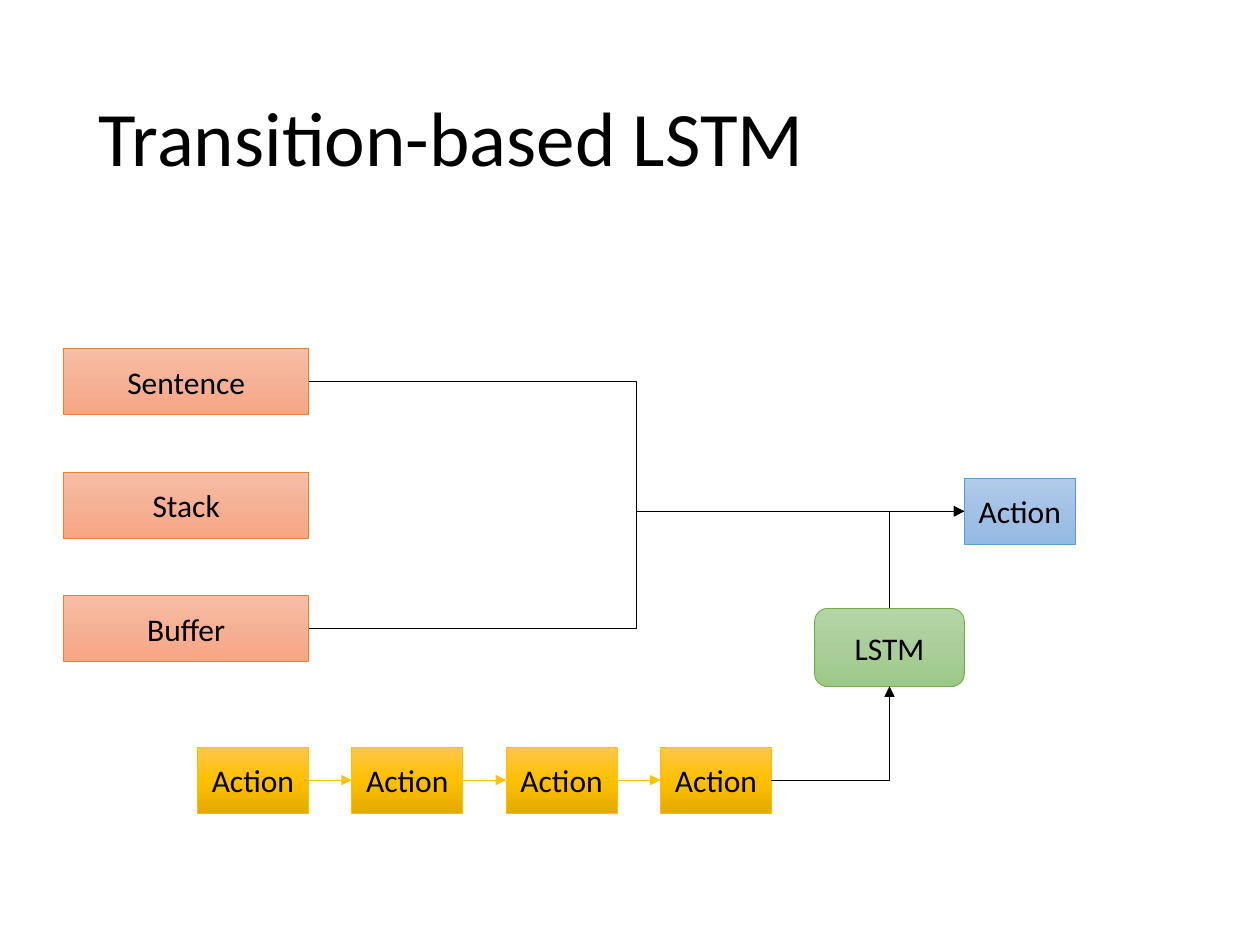
import copy

import pptx
import pptx.dml.color
import pptx.enum.shapes
import pptx.enum.text
import pptx.oxml
import pptx.oxml.ns
import pptx.util

TITLE = "Transition-based LSTM"
INPUTS = ["Sentence", "Stack", "Buffer"]
HISTORY = ["Action"] * 4
COLOURS = {
    "text": "000000",
    "orange": ("F7BDA5", "F5B196", "F8A582", "ED7D31"),
    "gold": ("FFC64B", "FFC000", "E3AB00", "FFC000"),
    "blue": ("B1CBE9", "A3C1E5", "93B9E4", "5B9BD5"),
    "green": ("B5D5A7", "AACE9A", "9CC987", "70AD47"),
}
FONT = "Calibri"
BOX_HEIGHT = 37.6
INPUT_LEFT, INPUT_TOP, INPUT_WIDTH, INPUT_STEP = 36.4, 199.4, 140, 70.5
HISTORY_LEFT, HISTORY_TOP, ACTION_WIDTH, HISTORY_STEP = 112.8, 427, 63.4, 88.2
RESULT_LEFT, RESULT_TOP = 551, 273.4
LSTM_BOX = (465.5, 347.7, 85.6, 44.6)

Pt = pptx.util.Pt
SHAPES = pptx.enum.shapes.MSO_SHAPE
CONNECTORS = pptx.enum.shapes.MSO_CONNECTOR


def colour(value):
    return pptx.dml.color.RGBColor.from_string(value)


def write(shape, text, size, alignment):
    frame = shape.text_frame
    frame.word_wrap = True
    frame.vertical_anchor = pptx.enum.text.MSO_ANCHOR.MIDDLE
    paragraph = frame.paragraphs[0]
    paragraph.text = text
    paragraph.alignment = alignment
    paragraph.font.name = FONT
    paragraph.font.size = Pt(size)
    paragraph.font.color.rgb = colour(COLOURS["text"])
    return paragraph


def add_box(slide, text, box, palette, kind=SHAPES.RECTANGLE):
    shape = slide.shapes.add_shape(kind, *map(Pt, box))
    shape.shadow.inherit = False
    *stops, outline = COLOURS[palette]
    shape.fill.gradient()
    shape.fill.gradient_angle = 270
    stop_list = shape.element.spPr.find(".//" + pptx.oxml.ns.qn("a:gsLst"))
    stop_list.append(copy.deepcopy(stop_list[0]))
    for index, stop in enumerate(shape.fill.gradient_stops):
        stop.position = index / 2
        stop.color.rgb = colour(stops[index])
    shape.line.color.rgb = colour(outline)
    shape.line.width = Pt(0.5)
    write(shape, text, 18, pptx.enum.text.PP_ALIGN.CENTER)


def add_arrow(slide, start, end, line_colour, kind=CONNECTORS.STRAIGHT):
    connector = slide.shapes.add_connector(kind, *map(Pt, start + end))
    connector.line.color.rgb = colour(line_colour)
    connector.line.width = Pt(0.5)
    line = connector.line._get_or_add_ln()
    line.append(pptx.oxml.parse_xml(
        f'<a:tailEnd {pptx.oxml.ns.nsdecls("a")} type="triangle"/>'))
    connector.element.spPr.append(pptx.oxml.parse_xml(
        f'<a:effectLst {pptx.oxml.ns.nsdecls("a")}/>'))
    return connector


def add_corner_arrow(slide, start, end, vertical_first=False):
    if vertical_first:
        middle_x, middle_y = (start[0] + end[0]) / 2, (start[1] + end[1]) / 2
        half_x, half_y = (end[0] - start[0]) / 2, (start[1] - end[1]) / 2
        start = (middle_x + half_y, middle_y + half_x)
        end = (middle_x - half_y, middle_y - half_x)
    connector = add_arrow(slide, start, end, COLOURS["text"], CONNECTORS.ELBOW)
    properties = connector.element.spPr
    properties.find(pptx.oxml.ns.qn("a:prstGeom")).set("prst", "bentConnector2")
    if vertical_first:
        properties.find(pptx.oxml.ns.qn("a:xfrm")).set("rot", "5400000")


def main():
    presentation = pptx.Presentation()
    presentation.slide_width, presentation.slide_height = Pt(720), Pt(540)
    slide = presentation.slides.add_slide(presentation.slide_layouts[6])

    title = slide.shapes.add_textbox(Pt(49.5), Pt(28.8), Pt(621), Pt(104.4))
    write(title, TITLE, 44, pptx.enum.text.PP_ALIGN.LEFT).line_spacing = 0.9

    result_entry = (RESULT_LEFT, RESULT_TOP + BOX_HEIGHT / 2)
    for index, text in enumerate(INPUTS):
        top = INPUT_TOP + index * INPUT_STEP
        add_box(slide, text, (INPUT_LEFT, top, INPUT_WIDTH, BOX_HEIGHT), "orange")
        if text != "Stack":
            start = (INPUT_LEFT + INPUT_WIDTH, top + BOX_HEIGHT / 2)
            add_arrow(slide, start, result_entry, COLOURS["text"], CONNECTORS.ELBOW)

    history_middle = HISTORY_TOP + BOX_HEIGHT / 2
    for index, text in enumerate(HISTORY):
        left = HISTORY_LEFT + index * HISTORY_STEP
        add_box(slide, text, (left, HISTORY_TOP, ACTION_WIDTH, BOX_HEIGHT), "gold")
        if index:
            start = (left - HISTORY_STEP + ACTION_WIDTH, history_middle)
            add_arrow(slide, start, (left, history_middle), COLOURS["gold"][-1])

    add_box(slide, "Action",
            (RESULT_LEFT, RESULT_TOP, ACTION_WIDTH, BOX_HEIGHT), "blue")
    add_box(slide, "LSTM", LSTM_BOX, "green", SHAPES.ROUNDED_RECTANGLE)

    lstm_left, lstm_top, lstm_width, lstm_height = LSTM_BOX
    lstm_centre = lstm_left + lstm_width / 2
    add_corner_arrow(slide, (left + ACTION_WIDTH, history_middle),
                     (lstm_centre, lstm_top + lstm_height))
    add_corner_arrow(slide, (lstm_centre, lstm_top), result_entry,
                     vertical_first=True)
    presentation.save("out.pptx")


if __name__ == "__main__":
    main()
